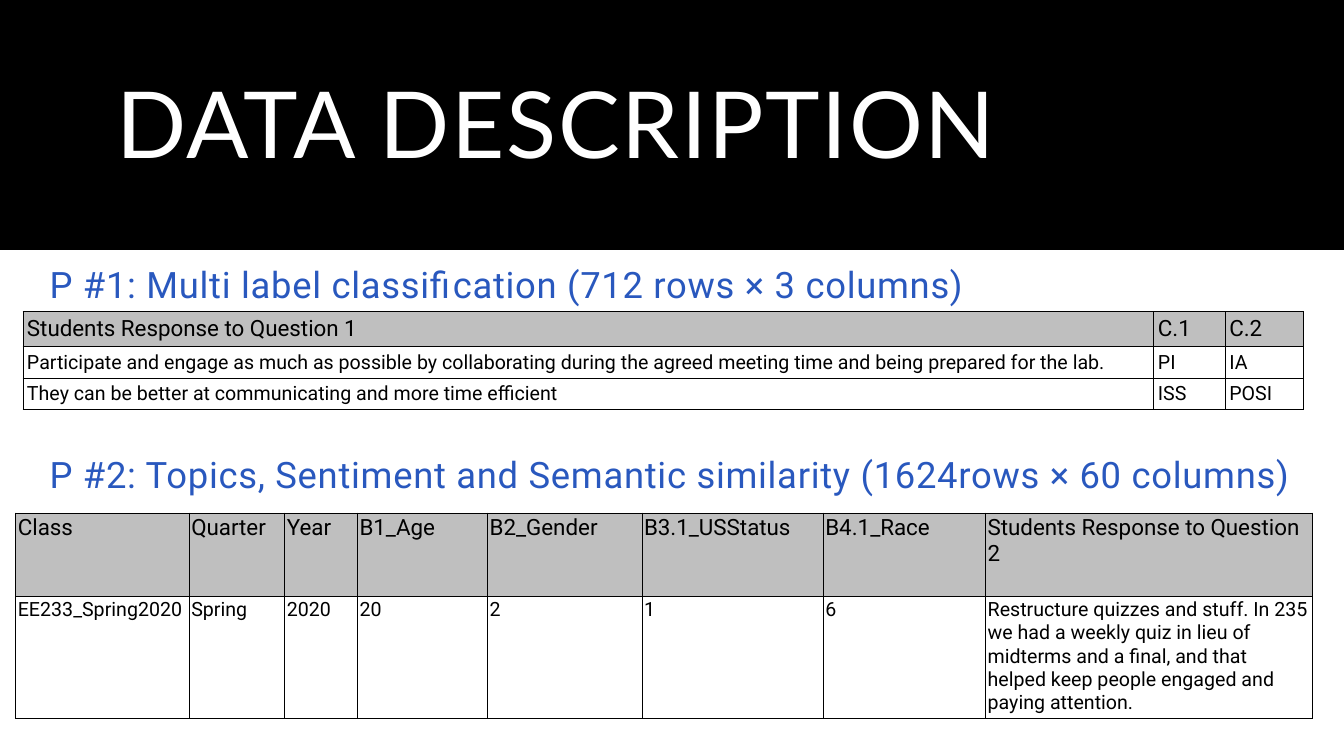
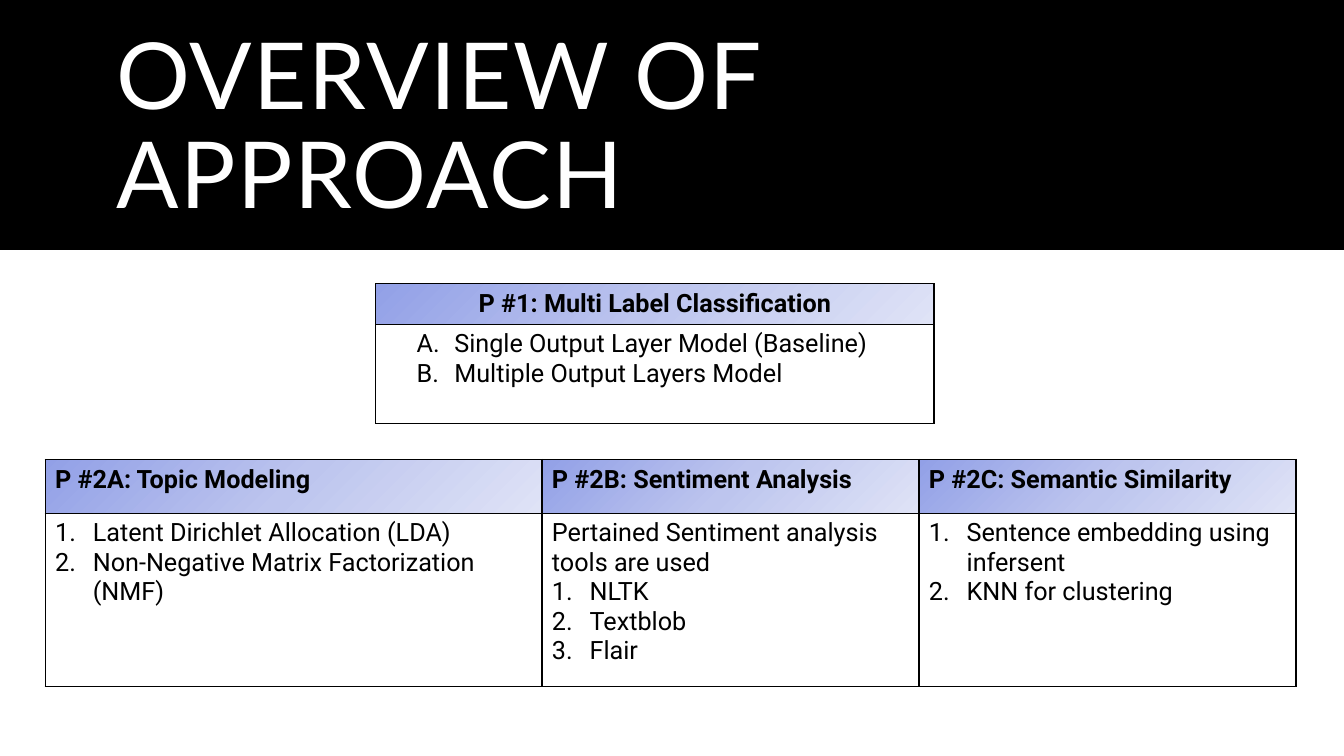
"""Build two slides on the data and the approach of a text-mining study."""
from dataclasses import dataclass

import pptx
import pptx.dml.color
import pptx.enum.shapes
import pptx.enum.text
import pptx.oxml
import pptx.oxml.ns
import pptx.slide
import pptx.table
import pptx.text.text
import pptx.util
from lxml import etree

Cm = pptx.util.Cm
Pt = pptx.util.Pt
ALIGN = pptx.enum.text.PP_ALIGN
qn = pptx.oxml.ns.qn

BLACK, WHITE, BLUE, GREY = "000000", "FFFFFF", "2958BE", "BFBFBF"
HEADER_STOPS = ((0, "92A0E7"), (50, "BDC5EE"), (100, "DFE3F6"))
TITLE_FONT, BODY_FONT = "Lato", "Roboto"
HANGING = 0.95
NUMBERS, LETTERS = "arabicPeriod", "alphaUcPeriod"


@dataclass(frozen=True)
class Line:
    """One paragraph of a cell, numbered when a scheme is given."""

    text: str
    scheme: str = ""
    indent: float = HANGING


@dataclass(frozen=True)
class Look:
    """Text sizes, margins, border and header style of a table."""

    header_size: int
    body_size: int
    margin_x: float
    margin_y: float
    border: float
    gradient: bool = False
    header_align: ALIGN = ALIGN.LEFT


@dataclass(frozen=True)
class Grid:
    """A table: place, column widths and row heights in cm, and its cells."""

    left: float
    top: float
    cols: tuple[float, ...]
    rows: tuple[float, ...]
    cells: tuple[tuple[str | tuple[Line, ...], ...], ...]
    look: Look


def color(value: str) -> pptx.dml.color.RGBColor:
    """Turn a hex string into a colour."""
    return pptx.dml.color.RGBColor.from_string(value)


def style(p: pptx.text.text._Paragraph, name: str, size: float, value: str,
          bold: bool = False, spacing: float = 0) -> None:
    """Set the font of a paragraph, with letter spacing in points."""
    p.font.name = name
    p.font.size = Pt(size)
    p.font.bold = bold
    p.font.color.rgb = color(value)
    if spacing:
        p.font._rPr.set("spc", str(round(spacing * 100)))


def number(p: pptx.text.text._Paragraph, line: Line) -> None:
    """Give a paragraph automatic numbering with a hanging indent."""
    pPr = p._p.get_or_add_pPr()
    pPr.set("marL", str(Cm(line.indent)))
    pPr.set("indent", str(-Cm(HANGING)))
    bullet = etree.Element(qn("a:buAutoNum"))
    bullet.set("type", line.scheme)
    pPr.insert(0, bullet)


def add_borders(cell: pptx.table._Cell, width: float) -> None:
    """Draw a black line on the four sides of a cell."""
    tcPr = cell._tc.get_or_add_tcPr()
    for side in ("lnL", "lnR", "lnT", "lnB"):
        ln = etree.SubElement(tcPr, qn(f"a:{side}"), w=str(Pt(width)))
        fill = etree.SubElement(ln, qn("a:solidFill"))
        etree.SubElement(fill, qn("a:srgbClr"), val=BLACK)


def add_gradient(cell: pptx.table._Cell) -> None:
    """Fill a cell with the diagonal header gradient."""
    grad = etree.SubElement(cell._tc.get_or_add_tcPr(), qn("a:gradFill"))
    stops = etree.SubElement(grad, qn("a:gsLst"))
    for pos, value in HEADER_STOPS:
        stop = etree.SubElement(stops, qn("a:gs"), pos=str(pos * 1000))
        etree.SubElement(stop, qn("a:srgbClr"), val=value)
    etree.SubElement(grad, qn("a:lin"), ang=str(45 * 60000), scaled="0")


def fill_cell(cell: pptx.table._Cell, content: str | tuple[Line, ...], look: Look,
              header: bool) -> None:
    """Write and format one table cell."""
    cell.margin_left = cell.margin_right = Cm(look.margin_x)
    cell.margin_top = cell.margin_bottom = Cm(look.margin_y)
    add_borders(cell, look.border)
    if not header:
        cell.fill.background()
    elif look.gradient:
        add_gradient(cell)
    else:
        cell.fill.solid()
        cell.fill.fore_color.rgb = color(GREY)

    lines = (Line(content),) if isinstance(content, str) else content
    tf = cell.text_frame
    for i, line in enumerate(lines):
        p = tf.add_paragraph() if i else tf.paragraphs[0]
        p.text = line.text
        p.alignment = look.header_align if header else ALIGN.LEFT
        size = look.header_size if header else look.body_size
        style(p, BODY_FONT, size, BLACK, bold=header and look.gradient)
        if line.scheme:
            number(p, line)


def add_grid(s: pptx.slide.Slide, grid: Grid) -> None:
    """Add a table whose first row is its header."""
    frame = s.shapes.add_table(len(grid.rows), len(grid.cols), Cm(grid.left), Cm(grid.top),
                               Cm(sum(grid.cols)), Cm(sum(grid.rows)))
    table = frame.table
    table.first_row = table.horz_banding = False
    for col, width in zip(table.columns, grid.cols):
        col.width = Cm(width)
    for r, (row, height) in enumerate(zip(table.rows, grid.rows)):
        row.height = Cm(height)
        for cell, content in zip(row.cells, grid.cells[r]):
            fill_cell(cell, content, grid.look, header=r == 0)


def add_heading(s: pptx.slide.Slide, top: float, text: str) -> None:
    """Add a blue heading above a table."""
    tf = s.shapes.add_textbox(Cm(1), Cm(top), Cm(32.4), Cm(1.35)).text_frame
    tf.word_wrap = True
    p = tf.paragraphs[0]
    p.text = text
    style(p, BODY_FONT, 26, BLUE, spacing=0.5)


def add_band(s: pptx.slide.Slide, width: int) -> None:
    """Put the black title band behind everything on the slide's layout."""
    band = s.shapes.add_shape(pptx.enum.shapes.MSO_SHAPE.RECTANGLE, 0, 0, width, Cm(6.3))
    band.shadow.inherit = False
    band.fill.solid()
    band.fill.fore_color.rgb = color(BLACK)
    band.line.fill.background()
    s.slide_layout.shapes.element.insert(2, band.element)


def add_slide(prs: pptx.presentation.Presentation, title: str) -> pptx.slide.Slide:
    """Add a title-only slide with the shared title style."""
    s = prs.slides.add_slide(prs.slide_layouts[5])
    sp = s.shapes.title
    sp.left, sp.top, sp.width, sp.height = Cm(2.67), Cm(0.89), Cm(28.52), Cm(4.72)
    tf = sp.text_frame
    tf.word_wrap = True
    tf.auto_size = pptx.enum.text.MSO_AUTO_SIZE.NONE
    tf.vertical_anchor = pptx.enum.text.MSO_ANCHOR.MIDDLE
    p = tf.paragraphs[0]
    p.text = title
    p.alignment = ALIGN.LEFT
    p.line_spacing = 0.9
    style(p, TITLE_FONT, 66, WHITE, spacing=1.2)
    return s


def numbered(*texts: str, scheme: str = NUMBERS, indent: float = HANGING) -> tuple[Line, ...]:
    """Make a numbered list."""
    return tuple(Line(text, scheme, indent) for text in texts)


LABELS = Grid(
    0.58, 7.85, (28.5, 1.8, 1.98), (0.89, 0.79, 0.79),
    (
        ("Students Response to Question 1", "C.1", "C.2"),
        ("Participate and engage as much as possible by collaborating during the agreed "
         "meeting time and being prepared for the lab.", "PI", "IA"),
        ("They can be better at communicating and more time efficient", "ISS", "POSI"),
    ),
    Look(16, 14, 0.1, 0.1, 0.75),
)
SURVEY = Grid(
    0.4, 12.93, (4.37, 2.41, 1.83, 3.28, 3.89, 4.57, 4.09, 8.23), (2.1, 3.03),
    (
        ("Class", "Quarter", "Year", "B1_Age", "B2_Gender", "B3.1_USStatus", "B4.1_Race",
         "Students Response to Question 2"),
        ("EE233_Spring2020", "Spring", "2020", "20", "2", "1", "6",
         "Restructure quizzes and stuff. In 235 we had a weekly quiz in lieu of midterms "
         "and a final, and that helped keep people engaged and paying attention."),
    ),
    Look(16, 14, 0.05, 0.05, 0.75),
)
METHODS = Grid(
    1.14, 11.58, (12.52, 9.5, 9.5), (1.35, 4.36),
    (
        ("P #2A: Topic Modeling", "P #2B: Sentiment Analysis", "P #2C: Semantic Similarity"),
        (
            numbered("Latent Dirichlet Allocation (LDA)",
                     "Non-Negative Matrix Factorization (NMF)"),
            (Line("Pertained Sentiment analysis tools are used"),
             *numbered("NLTK", "Textblob", "Flair")),
            numbered("Sentence embedding using infersent", "KNN for clustering"),
        ),
    ),
    Look(18, 18, 0.25, 0.13, 1, gradient=True),
)
CLASSIFIER = Grid(
    9.47, 7.15, (14.07,), (1.02, 2.5),
    (
        ("P #1: Multi Label Classification",),
        (numbered("Single Output Layer Model (Baseline)", "Multiple Output Layers Model",
                  scheme=LETTERS, indent=1.73),),
    ),
    Look(18, 18, 0.25, 0.13, 1, gradient=True, header_align=ALIGN.CENTER),
)


def main() -> None:
    """Build and save the presentation."""
    prs = pptx.Presentation()
    prs.slide_width, prs.slide_height = Cm(33.87), Cm(19.05)

    s = add_slide(prs, "DATA DESCRIPTION")
    add_band(s, prs.slide_width)
    add_heading(s, 6.47, "P #1: Multi label classification (712 rows × 3 columns)")
    add_grid(s, LABELS)
    add_heading(s, 11.28, "P #2: Topics, Sentiment and Semantic similarity (1624rows × 60 columns)")
    add_grid(s, SURVEY)

    s = add_slide(prs, "OVERVIEW OF APPROACH")
    add_grid(s, METHODS)
    add_grid(s, CLASSIFIER)

    prs.save("out.pptx")


if __name__ == "__main__":
    main()
